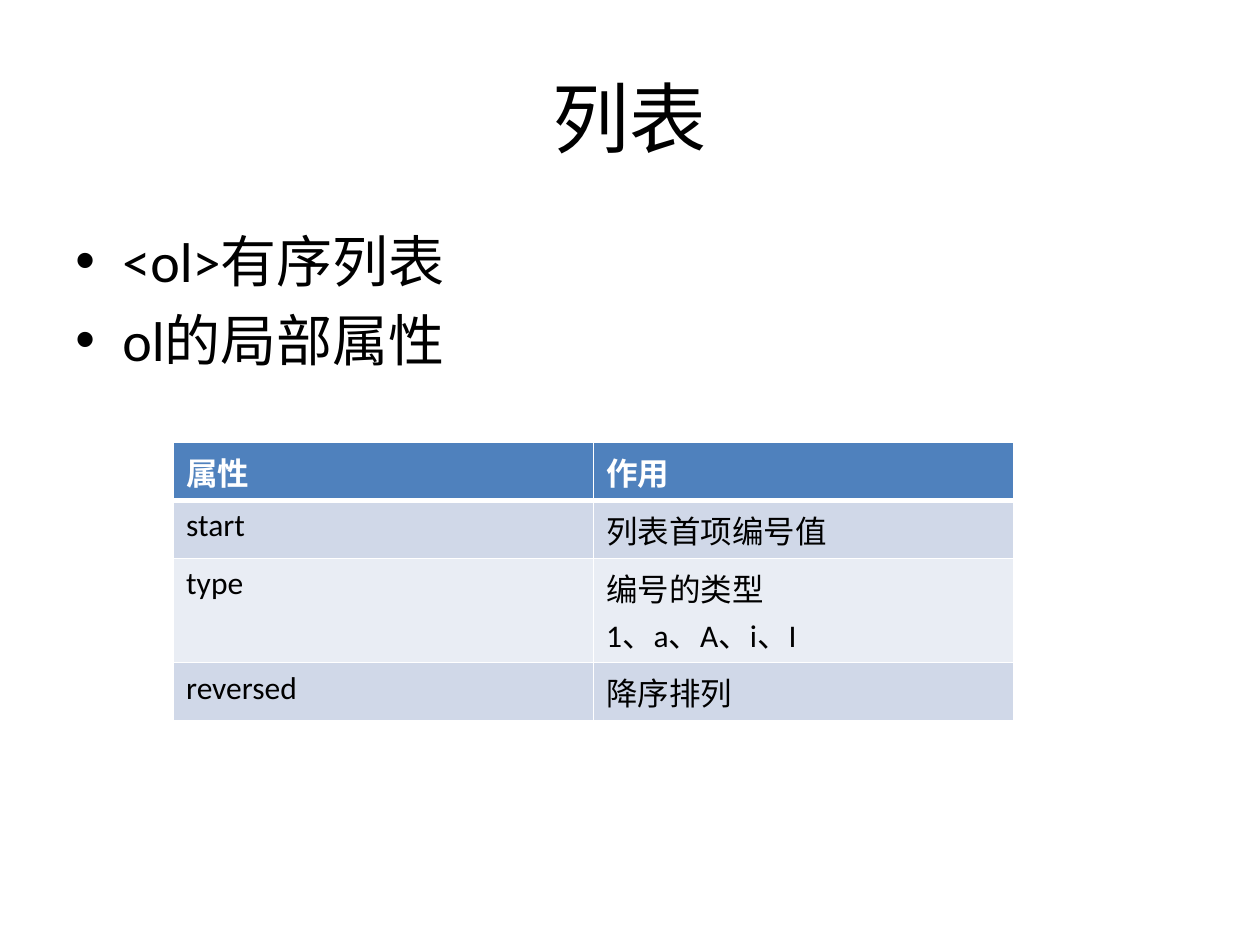
from lxml.etree import SubElement
from pptx import Presentation
from pptx.dml.color import RGBColor
from pptx.enum.text import MSO_ANCHOR, PP_ALIGN
from pptx.oxml.ns import qn
from pptx.util import Cm, Pt

BLACK = RGBColor(0x00, 0x00, 0x00)
WHITE = RGBColor(0xFF, 0xFF, 0xFF)
HEADER = RGBColor(0x4F, 0x81, 0xBD)
BAND_DARK = RGBColor(0xD0, 0xD8, 0xE8)
BAND_LIGHT = RGBColor(0xE9, 0xED, 0xF4)


def add_run(p, text, size, color=BLACK, bold=False):
    r = p.add_run()
    r.text = text
    r.font.name = "Calibri"
    r.font.size = Pt(size)
    r.font.bold = bold
    r.font.color.rgb = color


def add_border(cell, side, width):
    ln = SubElement(cell._tc.get_or_add_tcPr(), qn(f"a:{side}"), w=str(Pt(width)))
    fill = SubElement(ln, qn("a:solidFill"))
    SubElement(fill, qn("a:srgbClr"), val=str(WHITE))


prs = Presentation()
prs.slide_width, prs.slide_height = Cm(25.4), Cm(19.05)
s = prs.slides.add_slide(prs.slide_layouts[5])

title = s.shapes.title
title.left, title.top, title.width, title.height = Cm(1.27), Cm(0.76), Cm(22.86), Cm(3.18)
tf = title.text_frame
tf.vertical_anchor = MSO_ANCHOR.MIDDLE
p = tf.paragraphs[0]
p.alignment = PP_ALIGN.CENTER
add_run(p, "列表", 44)

body = s.shapes.add_textbox(Cm(1.27), Cm(4.45), Cm(22.86), Cm(12.57))
tf = body.text_frame
tf.word_wrap = True
for i, text in enumerate(["<ol>有序列表", "ol的局部属性"]):
    p = tf.add_paragraph() if i else tf.paragraphs[0]
    pPr = p._p.get_or_add_pPr()
    pPr.set("marL", str(Cm(0.95)))
    pPr.set("indent", str(-Cm(0.95)))
    spacing = SubElement(pPr, qn("a:spcBef"))
    SubElement(spacing, qn("a:spcPct"), val="20000")
    SubElement(pPr, qn("a:buFont"), typeface="Arial")
    SubElement(pPr, qn("a:buChar"), char="•")
    add_run(p, text, 32)

rows = [
    ("属性", ["作用"]),
    ("start", ["列表首项编号值"]),
    ("type", ["编号的类型", "1、a、A、i、I"]),
    ("reversed", ["降序排列"]),
]
LINE_HEIGHT, ROW_PADDING = 0.93, 0.24
heights = [Cm(ROW_PADDING + LINE_HEIGHT * len(effect)) for _, effect in rows]
table = s.shapes.add_table(len(rows), 2, Cm(3.5), Cm(8.92), Cm(16.93), sum(heights)).table
for i, (name, effect) in enumerate(rows):
    table.rows[i].height = heights[i]
    is_header = i == 0
    for j, lines in enumerate([[name], effect]):
        cell = table.cell(i, j)
        for side in ("lnL", "lnR", "lnT", "lnB"):
            heavy = (is_header and side == "lnB") or (i == 1 and side == "lnT")
            add_border(cell, side, 3 if heavy else 1)
        cell.fill.solid()
        cell.fill.fore_color.rgb = HEADER if is_header else BAND_DARK if i % 2 else BAND_LIGHT
        tf = cell.text_frame
        for k, line in enumerate(lines):
            p = tf.add_paragraph() if k else tf.paragraphs[0]
            add_run(p, line, 18, WHITE if is_header else BLACK, is_header)

prs.save("out.pptx")
